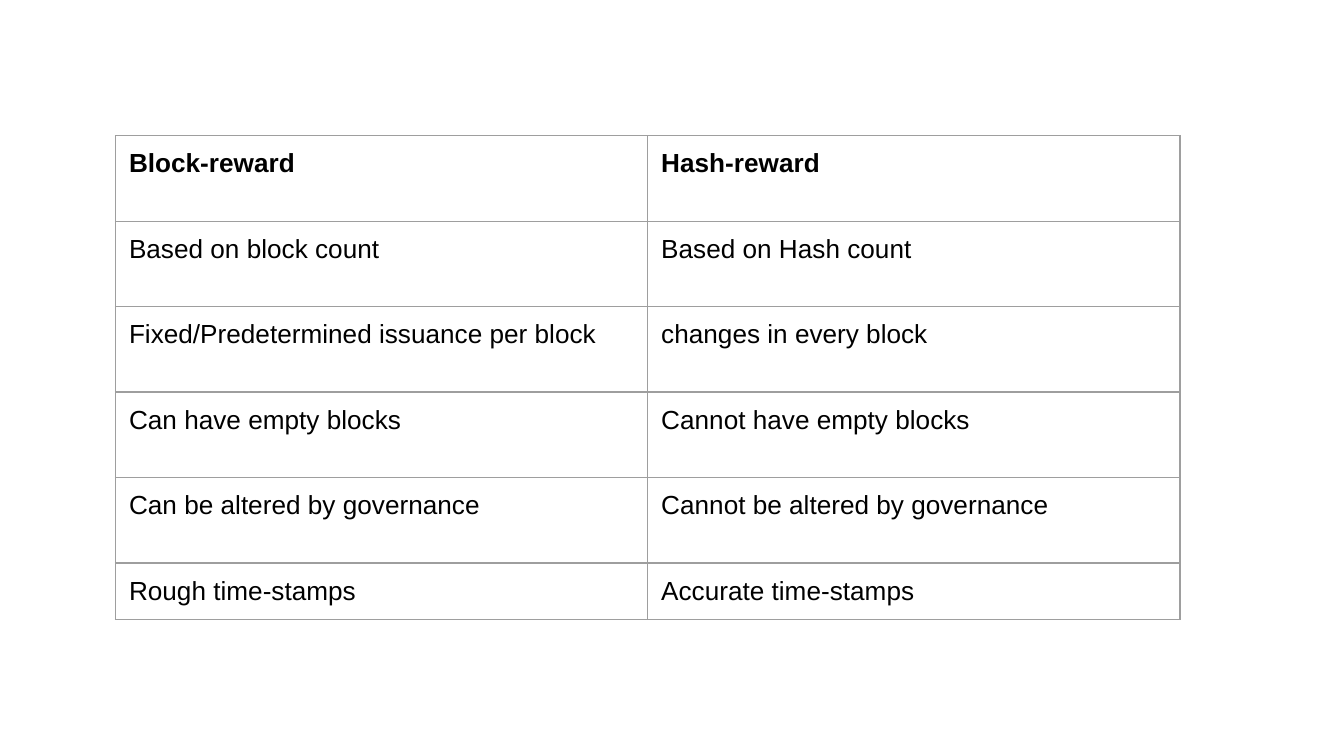
from lxml import etree
from pptx import Presentation
from pptx.dml.color import RGBColor
from pptx.oxml import ns
from pptx.util import Inches, Pt

COLORS = {"text": "000000", "line": "9E9E9E"}

ROWS = [
    ("Block-reward", "Hash-reward"),
    ("Based on block count", "Based on Hash count"),
    ("Fixed/Predetermined issuance per block", "changes in every block"),
    ("Can have empty blocks", "Cannot have empty blocks"),
    ("Can be altered by governance", "Cannot be altered by governance"),
    ("Rough time-stamps", "Accurate time-stamps"),
]


class Deck:
    """Holds the style and the current slide."""

    font, size, pad, line = "Arial", Pt(14), Inches(0.1), Pt(0.75)

    def __init__(self, width, ratio):
        self.prs = Presentation()
        self.prs.slide_width = Inches(width)
        self.prs.slide_height = Inches(width / ratio)
        self.slide = self.prs.slides.add_slide(self.prs.slide_layouts[6])

    def border(self, cell):
        props = cell._tc.get_or_add_tcPr()
        for side in ("lnL", "lnR", "lnT", "lnB"):
            edge = etree.SubElement(props, ns.qn("a:" + side), w=str(self.line))
            fill = etree.SubElement(edge, ns.qn("a:solidFill"))
            etree.SubElement(fill, ns.qn("a:srgbClr"), val=COLORS["line"])

    def cell(self, cell, words, bold):
        cell.margin_left = cell.margin_right = self.pad
        cell.margin_top = cell.margin_bottom = self.pad
        self.border(cell)
        cell.fill.background()
        cell.text = words
        font = cell.text_frame.paragraphs[0].font
        font.name, font.size, font.bold = self.font, self.size, bold
        font.color.rgb = RGBColor.from_string(COLORS["text"])

    def table(self, left, top, width, heights, rows):
        count = len(rows[0])
        frame = self.slide.shapes.add_table(
            len(rows), count, Inches(left), Inches(top),
            Inches(width * count), Inches(sum(heights)))
        grid = frame.table
        grid.horz_banding = False
        for col in grid.columns:
            col.width = Inches(width)
        for r, (height, row) in enumerate(zip(heights, rows)):
            grid.rows[r].height = Inches(height)
            for c, words in enumerate(row):
                self.cell(grid.cell(r, c), words, bold=r == 0)


def main():
    deck = Deck(10, 16 / 9)
    # Comparison table: equal tall rows, then a short last row
    total, last = 3.6, 0.42
    tall = len(ROWS) - 1
    heights = [(total - last) / tall] * tall + [last]
    deck.table(0.86, 1.01, 3.96, heights, ROWS)
    deck.prs.save("out.pptx")


if __name__ == "__main__":
    main()
